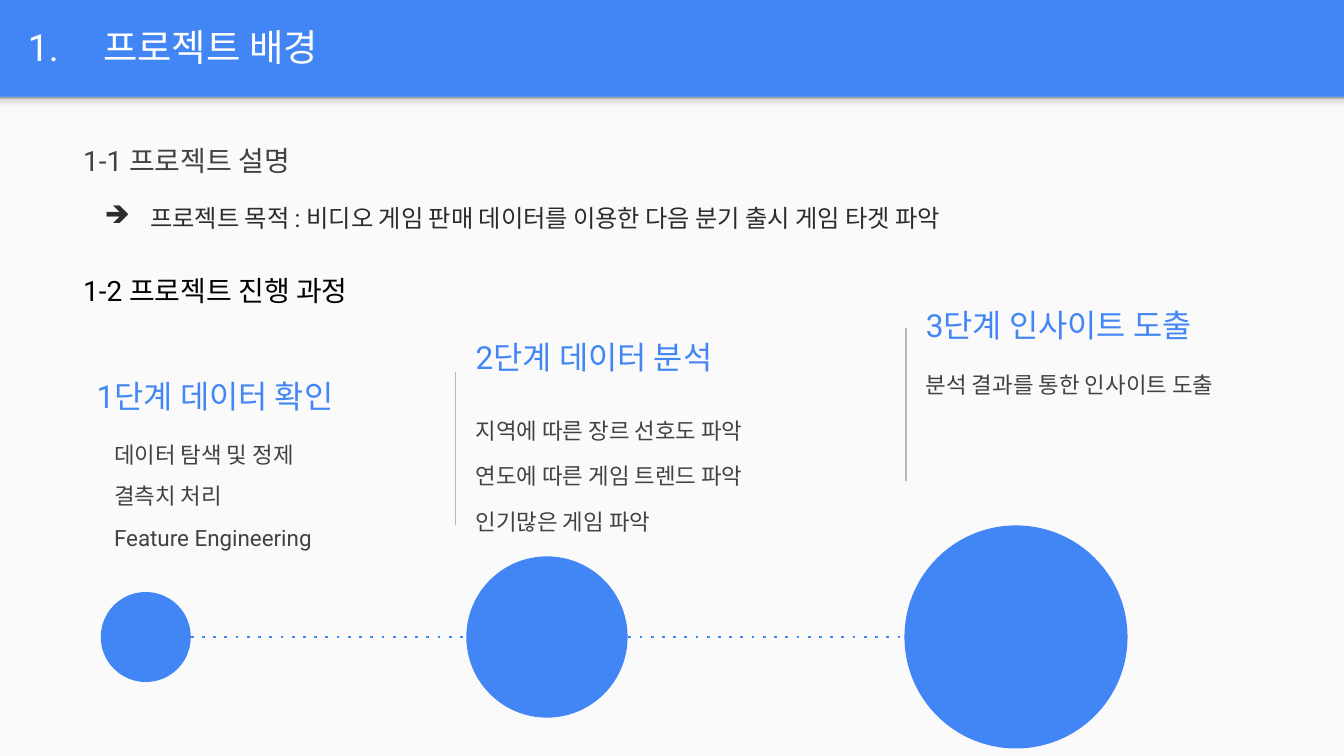
"""Build the project background slide."""
from copy import deepcopy
from dataclasses import dataclass
from typing import Optional

from lxml.etree import SubElement
from pptx import Presentation
from pptx.dml.color import RGBColor
from pptx.enum.dml import MSO_LINE as Dash
from pptx.enum.shapes import MSO_CONNECTOR as Link, MSO_SHAPE as Kind
from pptx.enum.text import MSO_ANCHOR as Anchor
from pptx.oxml.ns import qn
from pptx.util import Inches, Pt

HUES = {
    "blue": "4285F4", "paper": "FAFAFA", "white": "FFFFFF", "black": "000000",
    "ink": "2C2C2C", "text": "424242", "rule": "B7B7B7",
}
SHADE = [(0, "F9F9F9"), (0.36, "F9F9F9"), (0.8, "DEDEDE"), (1, "999999")]
FONT = "Roboto"
AXIS = 4.74
BAR = 1.14


@dataclass
class Para:
    text: str
    size: float
    hue: str = "text"
    lead: float = 1.0
    above: float = 0
    below: float = 0
    left: float = 0
    hang: float = 0
    mark: str = ""


@dataclass
class Box:
    left: float
    top: float
    width: float
    height: float


@dataclass
class Step:
    name: str
    head: Box
    items: list[str]
    body: Box
    lead: float
    dot: float
    size: float
    bar: Optional[float] = None


STEPS = [
    Step("1단계 데이터 확인", Box(0.62, 2.65, 2.11, 0.59),
         ["데이터 탐색 및 정제", "결측치 처리", "Feature Engineering"],
         Box(0.75, 3.18, 1.98, 1.14), 1.0, 0.75, 0.67),
    Step("2단계 데이터 분석", Box(3.44, 2.44, 2.11, 0.43),
         ["지역에 따른 장르 선호도 파악", "연도에 따른 게임 트렌드 파악", "인기많은 게임 파악"],
         Box(3.44, 2.97, 2.61, 1.05), 1.15, 3.47, 1.2, 2.77),
    Step("3단계 인사이트 도출", Box(6.79, 2.2, 2.35, 0.43),
         ["분석 결과를 통한 인사이트 도출"],
         Box(6.79, 2.63, 2.61, 0.63), 1.15, 6.73, 1.66, 2.44),
]


def tint(hue: str) -> RGBColor:
    """Return the named colour."""
    return RGBColor.from_string(HUES[hue])


def span(box: Box) -> list[int]:
    """Return the box as four lengths."""
    return [Inches(n) for n in (box.left, box.top, box.width, box.height)]


def shape(host, kind: Kind, box: Box, hue: str):
    """Draw a plain filled shape."""
    item = host.add_shape(kind, *span(box))
    item.shadow.inherit = False
    item.fill.solid()
    item.fill.fore_color.rgb = tint(hue)
    item.line.fill.background()
    return item


def shade(item) -> None:
    """Fill a shape with the upward shadow gradient."""
    item.fill.gradient()
    item.fill.gradient_angle = 90
    stops = item.element.spPr.find(".//" + qn("a:gsLst"))
    stops.extend([deepcopy(stop) for stop in list(stops)])
    for stop, (at, code) in zip(item.fill.gradient_stops, SHADE):
        stop.position = at
        stop.color.rgb = RGBColor.from_string(code)


def line(host, ends: list[float], hue: str, width: float):
    """Draw a straight line without a shadow."""
    item = host.add_connector(Link.STRAIGHT, *[Inches(n) for n in ends])
    item.line.color.rgb = tint(hue)
    item.line.width = Pt(width)
    SubElement(item.element.spPr, qn("a:effectLst"))
    return item


def write(host, box: Box, paras: list[Para], anchor: Anchor = Anchor.TOP) -> None:
    """Add a wrapped text box with formatted paragraphs."""
    frame = host.add_textbox(*span(box)).text_frame
    frame.word_wrap = True
    frame.vertical_anchor = anchor
    for side in ("left", "top", "right", "bottom"):
        setattr(frame, f"margin_{side}", Inches(0.1))
    for rank, para in enumerate(paras):
        row = frame.add_paragraph() if rank else frame.paragraphs[0]
        row.text = para.text
        row.line_spacing = para.lead
        row.space_before, row.space_after = Pt(para.above), Pt(para.below)
        props = row._p.get_or_add_pPr()
        props.set("marL", str(Inches(para.left)))
        props.set("indent", str(Inches(para.hang)))
        if para.mark:
            color = SubElement(props, qn("a:buClr"))
            SubElement(color, qn("a:srgbClr"), val=HUES[para.hue])
            SubElement(props, qn("a:buChar"), char=para.mark)
        for run in row.runs:
            run.font.name = FONT
            run.font.size = Pt(para.size)
            run.font.color.rgb = tint(para.hue)


def phase(host, step: Step) -> None:
    """Write one step and its side rule."""
    if step.bar is not None:
        left = step.head.left - 0.05
        line(host, [left, step.bar, left, step.bar + BAR], "rule", 0.75)
    write(host, step.head, [Para(step.name, 17, "blue")], Anchor.MIDDLE)
    write(host, step.body, [
        Para(text, 12, lead=step.lead, above=8 if rank else 0)
        for rank, text in enumerate(step.items)
    ])


def track(host) -> None:
    """Draw the dotted line and the growing circles."""
    group = host.add_group_shape().shapes
    first, last = STEPS[0], STEPS[-1]
    path = line(group, [first.dot + first.size, AXIS, last.dot, AXIS], "blue", 1.5)
    path.line.dash_style = Dash.ROUND_DOT
    path.element.spPr.find(".//" + qn("a:prstDash")).set("val", "dot")
    for step in STEPS:
        box = Box(step.dot, AXIS - step.size / 2, step.size, step.size)
        shape(group, Kind.OVAL, box, "blue")


def main() -> None:
    """Build and save the slide."""
    deck = Presentation()
    deck.slide_width, deck.slide_height = Inches(10), Inches(5.625)
    slide = deck.slides.add_slide(deck.slide_layouts[6])
    back = slide.background.fill
    back.solid()
    back.fore_color.rgb = tint("blue")
    host = slide.shapes
    shape(host, Kind.RECTANGLE, Box(0, 0.72, 10, 4.91), "paper")
    shade(shape(host, Kind.RECTANGLE, Box(0, 0.72, 10, 0.12), "paper"))
    write(host, Box(0.11, 0.02, 9.65, 0.66),
          [Para("1.\t프로젝트 배경", 20, "white", left=0.56, hang=-0.56)], Anchor.MIDDLE)
    write(host, Box(0.52, 0.93, 8.99, 1.4), [
        Para("1-1 프로젝트 설명", 15, lead=1.15, above=3),
        Para("프로젝트 목적 : 비디오 게임 판매 데이터를 이용한 다음 분기 출시 게임 타겟 파악",
             13, "ink", 1.15, 12, left=0.5, hang=-0.34, mark="➔"),
        Para("1-2 프로젝트 진행 과정", 15, "black", 1.15, 19, 12),
    ])
    for step in STEPS:
        phase(host, step)
    track(host)
    deck.save("out.pptx")


if __name__ == "__main__":
    main()
